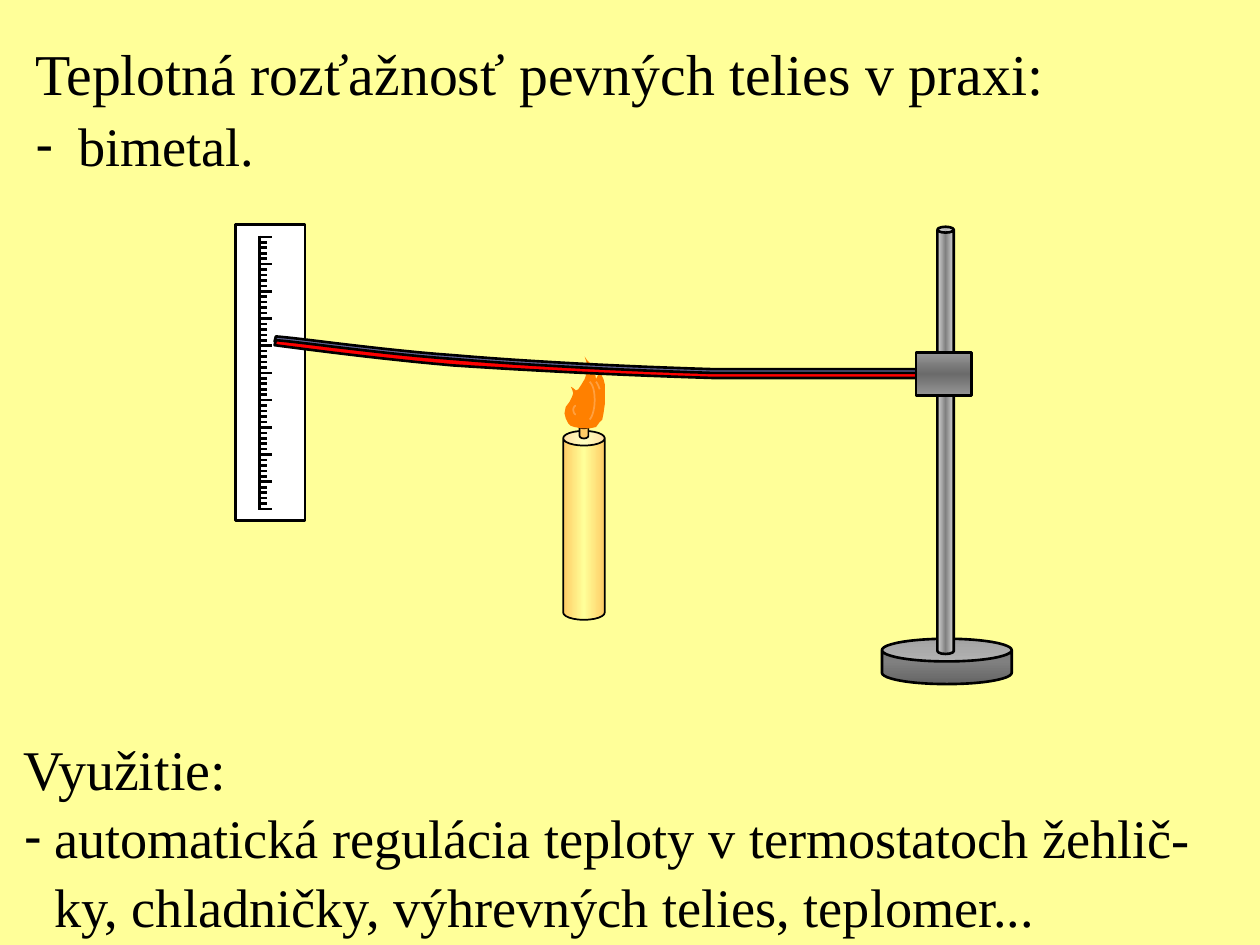
from copy import deepcopy

from lxml import etree
from pptx import Presentation
from pptx.dml.color import RGBColor
from pptx.enum.shapes import MSO_CONNECTOR, MSO_SHAPE
from pptx.enum.text import MSO_ANCHOR, MSO_AUTO_SIZE, PP_ALIGN
from pptx.oxml.ns import qn
from pptx.util import Inches, Pt

RECT, CAN = MSO_SHAPE.RECTANGLE, MSO_SHAPE.CAN
STRAIGHT = MSO_CONNECTOR.STRAIGHT
TOP, LEFT, NO_FIT = MSO_ANCHOR.TOP, PP_ALIGN.LEFT, MSO_AUTO_SIZE.NONE

FONT = "Times New Roman"
BLACK = RGBColor(0x00, 0x00, 0x00)
WHITE = RGBColor(0xFF, 0xFF, 0xFF)
PAPER = RGBColor(0xFF, 0xFF, 0x99)
WAX = RGBColor(0xFF, 0xCC, 0x66)
FLAME = RGBColor(0xFF, 0x80, 0x00)
FLAME_LIGHT = RGBColor(0xFF, 0xA0, 0x40)
STEEL = RGBColor(0x66, 0x66, 0x99)
RED = RGBColor(0xFF, 0x00, 0x00)
GREY_DARK = RGBColor(0x64, 0x64, 0x64)
GREY_MID = RGBColor(0x80, 0x80, 0x80)
GREY_LIGHT = RGBColor(0xD4, 0xD4, 0xD4)
CLAMP_EDGE = RGBColor(0x96, 0x96, 0x96)
CLAMP_MID = RGBColor(0x6B, 0x6B, 0x6B)

# Flame outline and highlights, in hundredths of an inch from the flame's corner
FLAME_OUTLINE = [
    (6, 26), (7, 29), (6, 32), (4, 36), (1, 40), (0, 45), (1, 49), (3, 53),
    (5, 55), (8, 56), (14, 57), (20, 57), (25, 56), (28, 52), (30, 50),
    (31, 45), (32, 38), (32, 22), (31, 18), (29, 14), (27, 11), (27, 14),
    (25, 18), (24, 11), (22, 7), (18, 3), (16, 0), (18, 6), (18, 12),
    (16, 18), (13, 23), (11, 26), (9, 27), (7, 25), (5, 24)]
HIGHLIGHTS = [
    [[(20, 20), (23, 23), (24, 28), (24, 35)], [(24, 35), (24, 42), (22, 48), (20, 50)]],
    [[(9, 46), (8, 46), (7, 44), (7, 42)], [(7, 42), (7, 41), (8, 39), (9, 39)]],
    [[(25, 20), (26, 21), (27, 23), (28, 26)]]]
# Edges of one strip, in inches from its left end
STRIP_TOP = [[(0.01, 0), (0.25, 0.02), (0.86, 0.11), (1.43, 0.15)],
             [(1.43, 0.15), (2.01, 0.2), (2.8, 0.24), (3.47, 0.26)]]
STRIP_BOTTOM = [[(3.47, 0.3), (2.79, 0.28), (1.99, 0.24), (1.41, 0.2)],
                [(1.41, 0.2), (0.83, 0.15), (0.23, 0.07), (0, 0.04)]]


def curve(beziers, steps=12):
    """Points along a chain of cubic Bezier curves."""
    weights = [((1 - t) ** 3, 3 * t * (1 - t) ** 2, 3 * t * t * (1 - t), t ** 3)
               for t in (i / steps for i in range(steps + 1))]
    return [tuple(sum(w * p[axis] for w, p in zip(ws, bezier)) for axis in (0, 1))
            for bezier in beziers for ws in weights]


def style(sp, fill=None, line=BLACK, width=1.5):
    sp.shadow.inherit = False
    if fill is None:
        sp.fill.background()
    else:
        sp.fill.solid()
        sp.fill.fore_color.rgb = fill
    if line is None:
        sp.line.fill.background()
    else:
        sp.line.color.rgb = line
        sp.line.width = Pt(width)
    return sp


def shade(sp, edge, middle, angle):
    """Symmetric gradient: edge, middle, edge."""
    sp.fill.gradient()
    sp.fill.gradient_angle = angle
    stops = sp._element.spPr.find(".//" + qn("a:gsLst"))
    stops.insert(1, deepcopy(stops[0]))
    for stop, color, position in zip(sp.fill.gradient_stops, (edge, middle, edge), (0, 0.5, 1)):
        stop.color.rgb = color
        stop.position = position


def preset(shapes, kind, x, y, w, h, adj=None, **look):
    sp = shapes.add_shape(kind, Inches(x), Inches(y), Inches(w), Inches(h))
    if adj is not None:
        sp.adjustments[0] = adj
    return style(sp, **look)


def outline(shapes, x, y, points, close=True, unit=1, **look):
    places = [(Inches(x + px * unit), Inches(y + py * unit)) for px, py in points]
    builder = shapes.build_freeform(*places[0])
    builder.add_line_segments(places[1:], close=close)
    return style(builder.convert_to_shape(), **look)


def rule(shapes, x1, y1, x2, y2):
    line = shapes.add_connector(STRAIGHT, Inches(x1), Inches(y1), Inches(x2), Inches(y2))
    line.line.color.rgb = BLACK
    line.line.width = Pt(1.5)
    etree.SubElement(line._element.spPr, qn("a:effectLst"))


def draw_scale(shapes, x, y, w, h):
    preset(shapes, RECT, x, y, w, h, fill=WHITE)
    spine, first, ticks = x + 0.19, y + 0.1, 51
    step = (h - 0.19) / (ticks - 1)
    rule(shapes, spine, first - 0.01, spine, y + h - 0.08)
    for i in range(ticks):
        length = 0.1 if i % 5 == 0 else 0.06
        rule(shapes, spine, first + i * step, spine + length, first + i * step)


def draw_candle(shapes, x, y, w, h):
    body = preset(shapes, CAN, x, y + 0.59, w, h - 0.59, adj=0.354, width=1)
    shade(body, WAX, PAPER, 0)
    preset(shapes, CAN, x + 0.13, y + 0.53, 0.07, 0.12, adj=0.568, fill=WAX, width=1)
    outline(shapes, x + 0.01, y, FLAME_OUTLINE, unit=0.01, fill=FLAME, line=None)
    for beziers in HIGHLIGHTS:
        outline(shapes, x + 0.01, y, curve(beziers), close=False, unit=0.01,
                line=FLAME_LIGHT, width=1)


def draw_strip(shapes, x, y, w):
    """Two bonded metal layers, bent upwards at the left end."""
    points = curve(STRIP_TOP) + [(w, 0.26), (w, 0.3)] + curve(STRIP_BOTTOM)
    for drop, color in ((0, STEEL), (0.03, RED)):
        outline(shapes, x, y + drop, points, fill=color)


def draw_stand(shapes, x, y, w, h):
    base = preset(shapes, CAN, x, y + h - 0.36, w, 0.36, adj=0.5)
    shade(base, GREY_DARK, GREY_MID, 90)
    rod = preset(shapes, CAN, x + 0.44, y, 0.13, h - 0.24, adj=0.356)
    shade(rod, GREY_LIGHT, GREY_MID, 0)
    clamp = preset(shapes, RECT, x + 0.27, y + 1, 0.44, 0.34)
    shade(clamp, CLAMP_EDGE, CLAMP_MID, 90)


def fill_placeholder(holder, x, y, w, h, lines, spacing=1.0):
    """Each line is (text, size, indent); an indent makes it a dash item."""
    holder.left, holder.top = Inches(x), Inches(y)
    holder.width, holder.height = Inches(w), Inches(h)
    tf = holder.text_frame
    tf.word_wrap, tf.auto_size, tf.vertical_anchor = True, NO_FIT, TOP
    tf.margin_left, tf.margin_right = Inches(0.08), Inches(0.1)
    tf.margin_top = tf.margin_bottom = Inches(0.05)
    tf.text = "\n".join(text for text, _, _ in lines)
    for p, (_, size, indent) in zip(tf.paragraphs, lines):
        pPr = p._p.get_or_add_pPr()
        pPr.set("marL", str(Inches(indent)))
        pPr.set("indent", str(-Inches(indent)))
        if indent:
            etree.SubElement(pPr, qn("a:buChar"), char="-")
        else:
            etree.SubElement(pPr, qn("a:buNone"))
        p.alignment, p.line_spacing, p.space_before = LEFT, spacing, Pt(0)
        for r in p.runs:
            r.font.name, r.font.size = FONT, Pt(size)
            r.font.color.rgb = BLACK


def build_slide(prs):
    slide = prs.slides.add_slide(prs.slide_layouts[3])
    slide.background.fill.solid()
    slide.background.fill.fore_color.rgb = PAPER

    # Texts
    title, topic, uses = slide.placeholders
    fill_placeholder(title, 0.2, 0.25, 9, 0.65,
                     [("Teplotná rozťažnosť pevných telies v praxi:", 33, 0)])
    fill_placeholder(topic, 0.2, 0.84, 8.21, 0.65, [("bimetal.", 31, 0.34)])
    fill_placeholder(uses, 0.11, 5.75, 9.8, 1.7, [
        ("Využitie:", 32, 0),
        ("automatická regulácia teploty v termostatoch žehlič-\v"
         "ky, chladničky, výhrevných telies, teplomer...", 31, 0.24)], spacing=1.05)

    # Experiment
    draw_scale(slide.shapes.add_group_shape().shapes, 1.87, 1.78, 0.55, 2.35)
    draw_candle(slide.shapes.add_group_shape().shapes, 4.47, 2.83, 0.33, 2.09)
    draw_strip(slide.shapes.add_group_shape().shapes, 2.18, 2.67, 5.44)
    draw_stand(slide.shapes.add_group_shape().shapes, 7, 1.8, 1.03, 3.63)


def main():
    prs = Presentation()
    prs.slide_width, prs.slide_height = Inches(10), Inches(7.5)
    build_slide(prs)
    prs.save("out.pptx")


if __name__ == "__main__":
    main()
